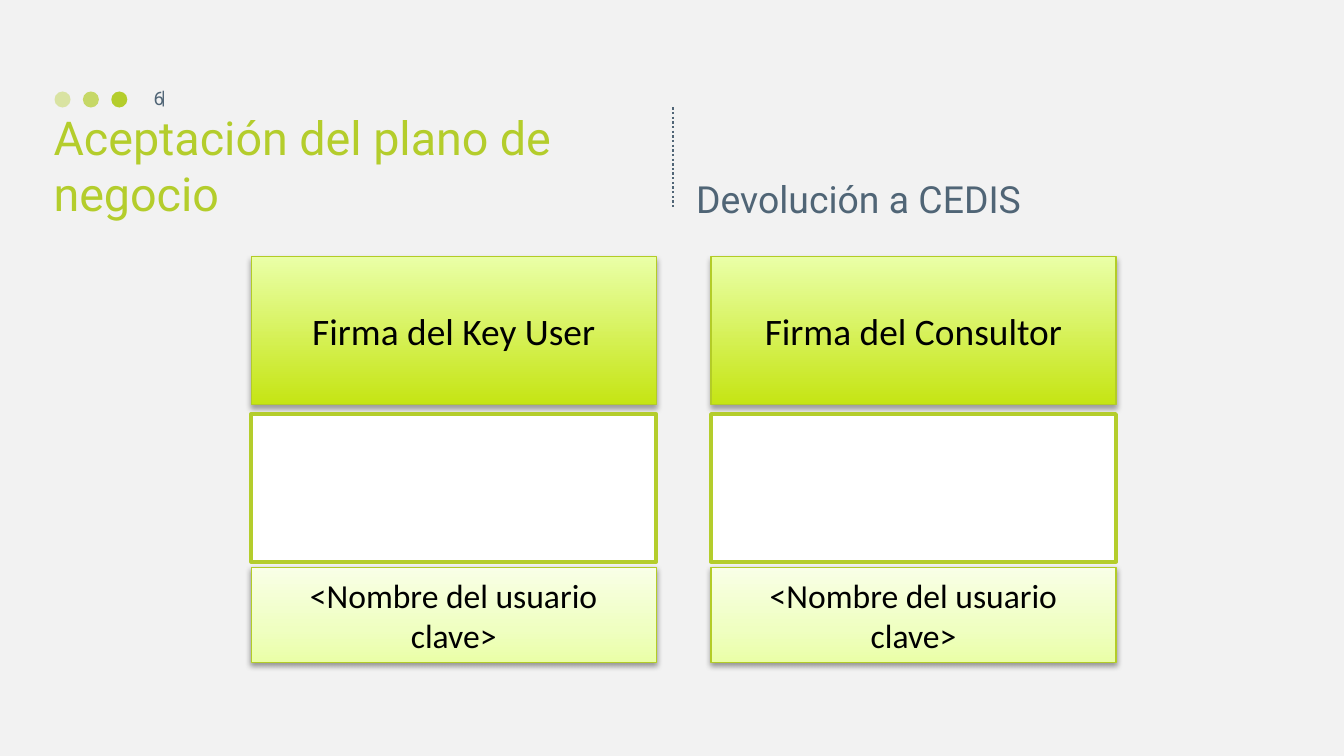
"""Build the business blueprint acceptance slide with its signature boxes."""
from lxml import etree
from pptx import Presentation
from pptx.dml.color import RGBColor
from pptx.enum.dml import MSO_LINE
from pptx.enum.shapes import MSO_CONNECTOR, MSO_SHAPE
from pptx.enum.text import MSO_ANCHOR, PP_ALIGN
from pptx.oxml.ns import qn
from pptx.util import Pt

RECTANGLE, OVAL = MSO_SHAPE.RECTANGLE, MSO_SHAPE.OVAL
STRAIGHT, DOTTED = MSO_CONNECTOR.STRAIGHT, MSO_LINE.ROUND_DOT
TOP, MIDDLE, BOTTOM = MSO_ANCHOR.TOP, MSO_ANCHOR.MIDDLE, MSO_ANCHOR.BOTTOM
LEFT, CENTER, RIGHT = PP_ALIGN.LEFT, PP_ALIGN.CENTER, PP_ALIGN.RIGHT
COLORS = {
    "background": "F2F2F2", "lime": "B4CD2C", "slate": "506576",
    "edge": "B3CC27", "white": "FFFFFF", "black": "000000",
}
RGB = {name: RGBColor.from_string(value) for name, value in COLORS.items()}
HEADER_STOPS = [(0, "C5E514"), (100, "EAFFA7")]
NAME_STOPS = [(0, "EAFFA7"), (35, "EFFFC1"), (100, "F9FFE7")]


def write(shape, text, size, color="slate", font="Roboto", anchor=BOTTOM,
          align=LEFT, wrap=True, spacing=None):
    frame = shape.text_frame
    frame.word_wrap = wrap
    frame.vertical_anchor = anchor
    paragraph = frame.paragraphs[0]
    paragraph.alignment = align
    paragraph.line_spacing = spacing
    run = paragraph.add_run()
    run.text = text
    run.font.size = Pt(size)
    run.font.name = font
    run.font.color.rgb = RGB[color]


def shade(shape, stops, opacity, distance):
    properties = shape._element.spPr
    gradient = etree.Element(qn("a:gradFill"), rotWithShape="1")
    stop_list = etree.SubElement(gradient, qn("a:gsLst"))
    for position, color in stops:
        stop = etree.SubElement(stop_list, qn("a:gs"), pos=str(position * 1000))
        etree.SubElement(stop, qn("a:srgbClr"), val=color)
    etree.SubElement(gradient, qn("a:lin"), ang="16200000", scaled="0")
    properties.find(qn("a:prstGeom")).addnext(gradient)
    shadow = etree.SubElement(
        properties.find(qn("a:effectLst")), qn("a:outerShdw"),
        blurRad=str(Pt(3.1)), dist=str(Pt(distance)), dir="5400000", rotWithShape="0")
    shadow_color = etree.SubElement(shadow, qn("a:srgbClr"), val=COLORS["black"])
    etree.SubElement(shadow_color, qn("a:alpha"), val=str(opacity * 1000))


deck = Presentation()
deck.slide_width, deck.slide_height = Pt(720), Pt(405)
slide = deck.slides.add_slide(deck.slide_layouts[6])
slide.background.fill.solid()
slide.background.fill.fore_color.rgb = RGB["background"]
shapes = slide.shapes

for index, opacity in enumerate((40, 70, 100)):
    dot = shapes.add_shape(OVAL, Pt(29.2 + 15.2 * index), Pt(49), Pt(8.6), Pt(8.6))
    dot.shadow.inherit = False
    dot.fill.solid()
    dot.fill.fore_color.rgb = RGB["lime"]
    dot.line.fill.background()
    if opacity < 100:
        dot_color = dot._element.spPr.find(".//" + qn("a:srgbClr"))
        etree.SubElement(dot_color, qn("a:alpha"), val=str(opacity * 1000))

divider = shapes.add_connector(STRAIGHT, Pt(360.6), Pt(57.5), Pt(360.6), Pt(111.5))
divider.line.color.rgb = RGB["slate"]
divider.line.width = Pt(1.25)
divider.line.dash_style = DOTTED
etree.SubElement(divider._element.spPr, qn("a:effectLst"))

page_bar = shapes.add_textbox(Pt(86.4), Pt(47.5), Pt(4.3), Pt(10.8))
page_bar.text_frame.margin_bottom = 0
write(page_bar, "|", 10, anchor=TOP, wrap=False, spacing=0.5)

title = shapes.add_textbox(Pt(21.6), Pt(54), Pt(330.5), Pt(67.7))
write(title, "Aceptación del plano de negocio", 25, color="lime")
subtitle = shapes.add_textbox(Pt(365.8), Pt(54), Pt(318.2), Pt(67.7))
write(subtitle, "Devolución a CEDIS", 20)

rows = [
    (137.5, 79.2, 0.75, "edge", ("Firma del Key User", "Firma del Consultor"),
     20, (HEADER_STOPS, 35, 1.8)),
    (221.8, 79.2, 2, "lime", ("", ""), None, None),
    (304, 51, 0.75, "edge", ("<Nombre del usuario clave>",) * 2,
     18, (NAME_STOPS, 38, 1.6)),
]
for top, height, border, border_color, labels, size, shading in rows:
    for left, label in zip((134.6, 380.9), labels):
        box = shapes.add_shape(RECTANGLE, Pt(left), Pt(top), Pt(217), Pt(height))
        box.line.color.rgb = RGB[border_color]
        box.line.width = Pt(border)
        box.shadow.inherit = False
        if shading:
            shade(box, *shading)
            write(box, label, size, color="black", font="Calibri",
                  anchor=MIDDLE, align=CENTER)
        else:
            box.fill.solid()
            box.fill.fore_color.rgb = RGB["white"]

page_number = shapes.add_textbox(Pt(61.9), Pt(41.8), Pt(33.1), Pt(21.6))
write(page_number, "6", 10, anchor=MIDDLE, align=RIGHT)

deck.save("out.pptx")
